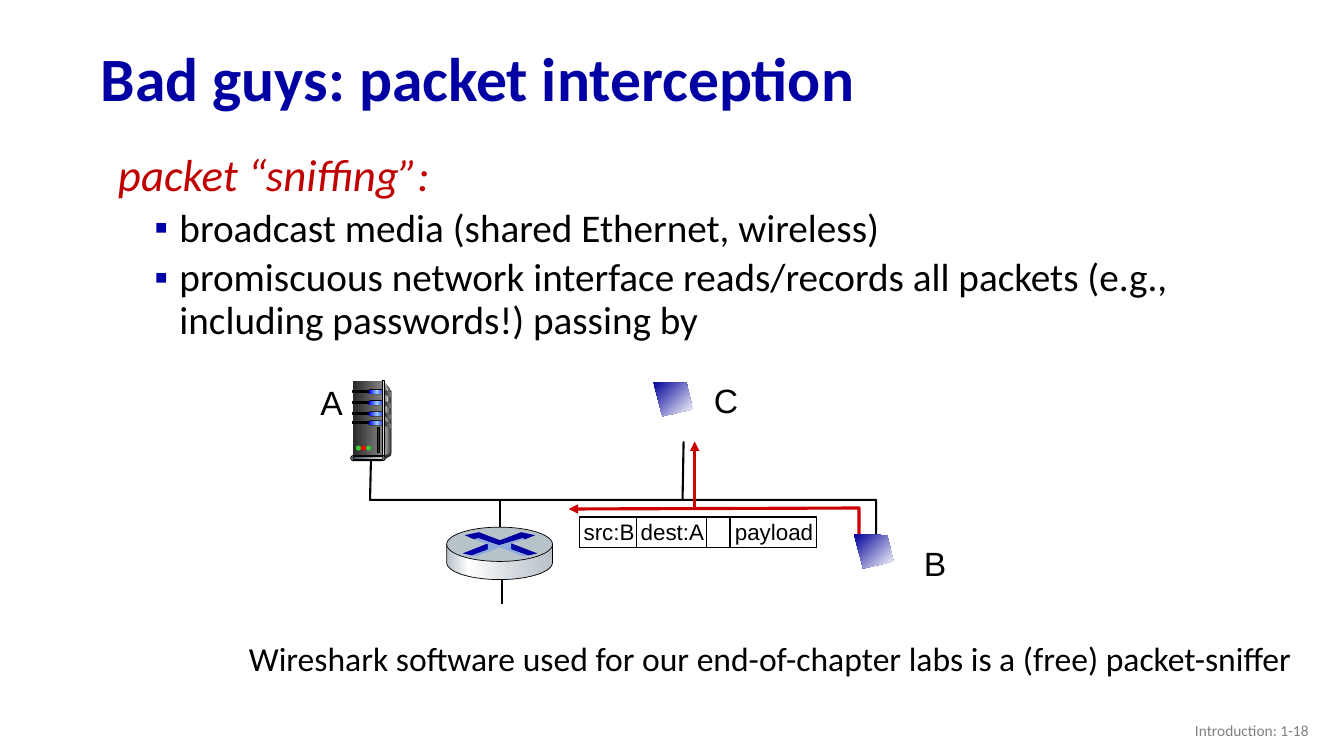
"""Build the packet interception slide with its network sketch."""
import copy
import math

import lxml.etree
import pptx
import pptx.dml.color
import pptx.enum.shapes
import pptx.enum.text
import pptx.oxml.ns
import pptx.util

RGBColor = pptx.dml.color.RGBColor
SHAPE = pptx.enum.shapes.MSO_SHAPE
ALIGN = pptx.enum.text.PP_ALIGN
ANCHOR = pptx.enum.text.MSO_ANCHOR
qn = pptx.oxml.ns.qn

BLACK = RGBColor(0x00, 0x00, 0x00)
WHITE = RGBColor(0xFF, 0xFF, 0xFF)
NAVY = RGBColor(0x00, 0x00, 0xA3)
BULLET_BLUE = RGBColor(0x00, 0x00, 0xA8)
SCREEN_BLUE = RGBColor(0x00, 0x00, 0x99)
CRIMSON = RGBColor(0xC0, 0x00, 0x00)
SNIFF_RED = RGBColor(0xCC, 0x00, 0x00)
FOOTER_GRAY = RGBColor(0x80, 0x80, 0x80)
COAL = RGBColor(0x29, 0x29, 0x29)
DARK = RGBColor(0x33, 0x33, 0x33)
PALE = RGBColor(0xDD, 0xDD, 0xDD)
NEAR_WHITE = RGBColor(0xF8, 0xF8, 0xF8)
LAMP_BLUE = RGBColor(0x00, 0x00, 0xFF)
LAMP_GLOW = RGBColor(0x99, 0xCC, 0xFF)
GREEN = RGBColor(0x33, 0xCC, 0x33)
RED = RGBColor(0xFF, 0x00, 0x00)
SLATE = RGBColor(0x44, 0x54, 0x6A)
IVORY = RGBColor(0xE7, 0xE6, 0xE6)
STEEL = RGBColor(0xB8, 0xC2, 0xC9)
LIGHT_STEEL = RGBColor(0xD6, 0xDC, 0xE0)
CROSS_BLUE = RGBColor(0x8F, 0xAA, 0xDC)

SCREEN_FADE = [(0, SCREEN_BLUE), (100, WHITE)]
SIDE_FADE = [(0, PALE), (100, DARK)]
CASE_FADE = [(0, COAL), (100, FOOTER_GRAY)]
EDGE_FADE = [(0, FOOTER_GRAY), (100, NEAR_WHITE)]
LAMP_FADE = [(0, LAMP_BLUE), (50, LAMP_GLOW), (100, LAMP_BLUE)]
STRIP_FADE = [(0, DARK), (50, PALE), (100, DARK)]
BASE_FADE = [(0, SLATE), (100, IVORY)]
ROUTER_FADE = [(0, STEEL), (21, WHITE), (60, LIGHT_STEEL), (100, STEEL)]

TITLE = "Bad guys: packet interception"
HEADING = "packet “sniffing”:"
BULLETS = ["broadcast media (shared Ethernet, wireless)",
           "promiscuous network interface reads/records all packets (e.g., including passwords!) passing by"]
NOTE = "Wireshark software used for our end-of-chapter labs is a (free) packet-sniffer"
FOOTER = "Introduction: 1-18"
PACKET = "src:B dest:A\tpayload"
HOSTS = [("A", (308, 374, 42, 50)), ("B", (906, 534, 43, 50)), ("C", (698, 372, 44, 50))]

BUS = [(368, 452), (367, 496), (869, 496), (869, 532)]
DROPS = [(677, 495, 678, 438), (496, 536, 496, 495), (498, 599, 498, 573)]
PACKET_BOX = (575, 513, 235, 30)
PACKET_DIVIDERS = [631, 701, 724]
SNIFF_ROUTE = [(852, 530), (852, 504), (564, 505)]
SNIFF_BRANCH = (689, 504, 689, 438)
SCREEN_CORNERS = [(0, 0), (33, 1), (39, 27), (9, 34)]
SCREENS = [(648, 379), (847, 530)]

SERVER_OUTLINES = [
    ([(381, 379), (388, 388), (388, 450), (380, 453)], SIDE_FADE),
    ([(382, 383), (386, 389), (383, 410), (382, 451)], EDGE_FADE),
    ([(381, 452), (381, 456), (388, 452), (388, 449)], DARK)]
DRAWER_TOPS = [387, 398, 409, 418]
DRAWER_PARTS = [(SHAPE.RECTANGLE, (350, 0, 17, 2), BLACK, BLACK),
                (SHAPE.ROUNDED_RECTANGLE, (365, -1, 16, 5), BLACK, None),
                (SHAPE.ROUNDED_RECTANGLE, (366, 0, 16, 4), LAMP_FADE, None)]
VENT = [(381, 0), (388, 3), (388, 7), (380, 3)]
SERVER_PARTS = [(SHAPE.RECTANGLE, (379, 378, 2, 74), STRIP_FADE, BLACK),
                (SHAPE.ROUNDED_RECTANGLE, (348, 452, 34, 5), PALE, BLACK),
                (SHAPE.ROUNDED_RECTANGLE, (350, 453, 30, 3), BASE_FADE, BLACK),
                (SHAPE.OVAL, (353, 442, 5, 5), GREEN, None),
                (SHAPE.OVAL, (358, 442, 5, 5), RED, None),
                (SHAPE.OVAL, (363, 442, 5, 5), GREEN, None),
                (SHAPE.RECTANGLE, (374, 424, 2, 25), COAL, BLACK)]

ROUTER_TOP = (443, 523, 105, 34)
ROUTER_DEPTH = 18
ROUTER_ARROWS = [
    ([(517, 528), (531, 531), (521, 535), (518, 534), (495, 541), (475, 534),
      (470, 535), (461, 531), (475, 528), (496, 536)], NAVY),
    ([(507, 539), (533, 549), (524, 551), (507, 545)], NAVY),
    ([(484, 539), (485, 546), (468, 551), (459, 549)], BULLET_BLUE),
    ([(470, 535), (474, 534), (495, 541), (518, 534), (521, 535), (507, 539),
      (507, 545), (523, 551), (519, 552), (496, 543), (472, 552), (468, 551),
      (484, 545), (484, 540)], CROSS_BLUE)]

PX = 9144
presentation = pptx.Presentation()
presentation.slide_width, presentation.slide_height = 1333 * PX, 750 * PX
slide = presentation.slides.add_slide(presentation.slide_layouts[1])


def place(part, box):
    part.left, part.top, part.width, part.height = [n * PX for n in box]
    return part.text_frame


def text_box(box, wrap=True):
    frame = slide.shapes.add_textbox(*[n * PX for n in box]).text_frame
    frame.word_wrap = wrap
    return frame


def write(frame, text, size=24, color=BLACK, font="Calibri", bold=False, italic=False,
          align=ALIGN.LEFT, level=0, margin=0, indent=0, bullet=None, tab=None,
          spacing=1.0, before=0):
    paragraph = frame.paragraphs[0] if not frame.text else frame.add_paragraph()
    properties = paragraph._p.get_or_add_pPr()
    properties.set("marL", str(margin * PX))
    properties.set("indent", str(indent * PX))
    if bullet:
        tint = lxml.etree.SubElement(properties, qn("a:buClr"))
        lxml.etree.SubElement(tint, qn("a:srgbClr"), val=str(BULLET_BLUE))
        lxml.etree.SubElement(properties, qn("a:buFont"), typeface="Arial")
        lxml.etree.SubElement(properties, qn("a:buChar"), char=bullet)
    else:
        lxml.etree.SubElement(properties, qn("a:buNone"))
    if tab:
        stops = lxml.etree.SubElement(properties, qn("a:tabLst"))
        lxml.etree.SubElement(stops, qn("a:tab"), pos=str(tab * PX), algn="l")
    paragraph.level, paragraph.alignment = level, align
    paragraph.line_spacing, paragraph.space_before = spacing, pptx.util.Pt(before)
    run = paragraph.add_run()
    run.text = text
    run.font.name, run.font.size = font, pptx.util.Pt(size)
    run.font.bold, run.font.italic = bold, italic
    run.font.color.rgb = color


def paint(part, fill=None, line=None, width=0.75, angle=0):
    part.shadow.inherit = False
    if fill is None:
        part.fill.background()
    elif isinstance(fill, RGBColor):
        part.fill.solid()
        part.fill.fore_color.rgb = fill
    else:
        part.fill.gradient()
        part.fill.gradient_angle = angle
        stops = part._element.spPr.find(qn("a:gradFill")).find(qn("a:gsLst"))
        for _ in fill[2:]:
            stops.append(copy.deepcopy(stops[0]))
        for stop, (position, color) in zip(part.fill.gradient_stops, fill):
            stop.position, stop.color.rgb = position / 100, color
    if line is None:
        part.line.fill.background()
    else:
        part.line.color.rgb, part.line.width = line, pptx.util.Pt(width)


def preset(kind, box, fill, line=None, width=0.75):
    part = slide.shapes.add_shape(kind, *[n * PX for n in box])
    if kind == SHAPE.ROUNDED_RECTANGLE:
        part.adjustments[0] = 0.5
    paint(part, fill, line, width)


def outline(points, closed=True, **style):
    corners = [(x * PX, y * PX) for x, y in points]
    builder = slide.shapes.build_freeform(*corners[0])
    builder.add_line_segments(corners[1:], close=closed)
    part = builder.convert_to_shape()
    paint(part, **style)
    return part


def add_arrowhead(part):
    lxml.etree.SubElement(part.line._get_or_add_ln(), qn("a:tailEnd"), type="triangle")


def wire(ends, color=BLACK, width=1.5):
    part = slide.shapes.add_connector(pptx.enum.shapes.MSO_CONNECTOR.STRAIGHT, *[n * PX for n in ends])
    part.line.color.rgb, part.line.width = color, pptx.util.Pt(width)
    lxml.etree.SubElement(part._element.spPr, qn("a:effectLst"))
    return part


title = place(slide.shapes.title, (90, 32, 1150, 98))
title.vertical_anchor = ANCHOR.MIDDLE
write(title, TITLE, size=44, color=NAVY, bold=True, spacing=0.9)
body = place(slide.placeholders[1], (92, 147, 1131, 228))
title.auto_size = body.auto_size = pptx.enum.text.MSO_AUTO_SIZE.NONE
write(body, HEADING, size=32, color=CRIMSON, italic=True, margin=39, indent=-24, spacing=0.9)
for bullet_text in BULLETS:
    write(body, bullet_text, size=28, level=1, margin=76, indent=-25, bullet="▪", spacing=0.9, before=5)

outline(BUS, closed=False, line=BLACK, width=1.5)
for drop in DROPS:
    wire(drop)
for host, box in HOSTS:
    write(text_box(box, wrap=False), host, font="Arial", align=ALIGN.CENTER)

preset(SHAPE.RECTANGLE, PACKET_BOX, WHITE, BLACK, 1)
for x in PACKET_DIVIDERS:
    wire((x, 514, x, 543), width=1)
write(text_box((569, 509, 251, 37)), PACKET, size=16, font="Arial", tab=149)
add_arrowhead(outline(SNIFF_ROUTE, closed=False, line=SNIFF_RED, width=2.25))
add_arrowhead(wire(SNIFF_BRANCH, SNIFF_RED, 2.25))
for left, top in SCREENS:
    outline([(left + x, top + y) for x, y in SCREEN_CORNERS], fill=SCREEN_FADE, angle=315)

preset(SHAPE.RECTANGLE, (350, 378, 29, 74), CASE_FADE)
for points, fill in SERVER_OUTLINES:
    outline(points, fill=fill)
for top in DRAWER_TOPS:
    outline([(x, top + y) for x, y in VENT], fill=CASE_FADE)
    for kind, (left, offset, width, height), fill, line in DRAWER_PARTS:
        preset(kind, (left, top + offset, width, height), fill, line)
for server_part in SERVER_PARTS:
    preset(*server_part)

left, top, width, height = ROUTER_TOP
middle = top + height / 2
rim = [(left + width / 2 * (1 + math.cos(math.radians(a))),
        middle + ROUTER_DEPTH + height / 2 * math.sin(math.radians(a))) for a in range(0, 181, 5)]
outline([(left + width, middle), *rim, (left, middle)], fill=ROUTER_FADE, line=BLACK, width=0.5)
preset(SHAPE.OVAL, ROUTER_TOP, STEEL, BLACK, 0.5)
for points, fill in ROUTER_ARROWS:
    outline(points, fill=fill)

write(text_box((187, 628, 1121, 100)), NOTE, margin=50, level=1)
footer = text_box((1008, 705, 300, 40))
footer.vertical_anchor = ANCHOR.MIDDLE
write(footer, FOOTER, size=11, color=FOOTER_GRAY, align=ALIGN.RIGHT)
presentation.save("out.pptx")
